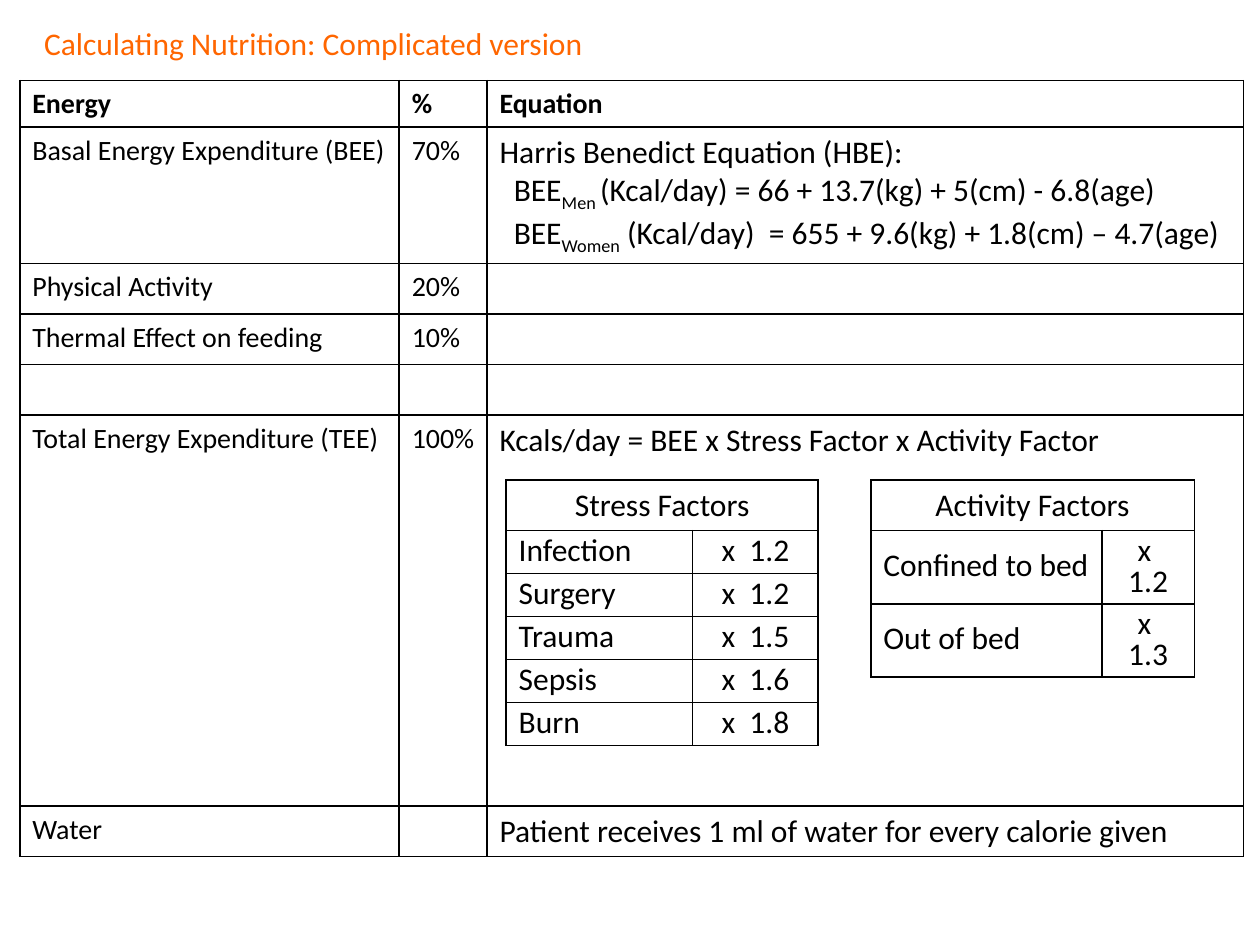
"""Build a slide with the detailed nutrition calculation tables."""
from dataclasses import dataclass

from lxml.etree import SubElement
from pptx import Presentation
from pptx.dml.color import RGBColor
from pptx.enum.text import MSO_ANCHOR, MSO_AUTO_SIZE, PP_ALIGN
from pptx.oxml.ns import qn
from pptx.util import Pt

BLACK = RGBColor(0, 0, 0)
ORANGE = RGBColor(0xFF, 0x66, 0x00)
FONT = "Calibri"
TABLE_TOP = 274.3


@dataclass
class Formula:
    subscript: str
    rest: str


@dataclass
class Grid:
    left: float
    top: float
    widths: list[float]
    heights: list[float]


@dataclass
class FactorTable:
    title: str
    grid: Grid
    factors: list[tuple[str, str]]


ENERGY_GRID = Grid(11.3, 46, [216.8, 50.2, 432.2],
                   [26.6, 78, 28.9, 28.9, 28.9, 223.4, 28.9])
ENERGY_ROWS = [
    ("Energy", "%", ["Equation"]),
    ("Basal Energy Expenditure (BEE)", "70%", [
        "Harris Benedict Equation (HBE):",
        Formula("Men ", "(Kcal/day) = 66 + 13.7(kg) + 5(cm) - 6.8(age)"),
        Formula("Women", " (Kcal/day)  = 655 + 9.6(kg) + 1.8(cm) – 4.7(age)"),
    ]),
    ("Physical Activity", "20%", [""]),
    ("Thermal Effect on feeding", "10%", [""]),
    ("", "", [""]),
    ("Total Energy Expenditure (TEE)", "100%",
     ["Kcals/day = BEE x Stress Factor x Activity Factor"]),
    ("Water", "", ["Patient receives 1 ml of water for every calorie given"]),
]
FACTOR_TABLES = [
    FactorTable("Activity Factors", Grid(497.6, TABLE_TOP, [132, 52.9], [28.9, 28, 28]),
                [("Confined to bed", "x  1.2"), ("Out of bed", "x  1.3")]),
    FactorTable("Stress Factors", Grid(289.2, TABLE_TOP, [106.6, 71.8], [28.9] + [24.6] * 5),
                [("Infection", "x  1.2"), ("Surgery", "x  1.2"), ("Trauma", "x  1.5"),
                 ("Sepsis", "x  1.6"), ("Burn", "x  1.8")]),
]


def set_font(font, size: float, color: RGBColor = BLACK, bold: bool = False) -> None:
    """Apply the slide's typeface."""
    font.name, font.size, font.bold = FONT, Pt(size), bold
    font.color.rgb = color


def style_cell(cell) -> None:
    """Give a cell thin black borders and no fill."""
    tc_pr = cell._tc.get_or_add_tcPr()
    for side in ("lnL", "lnR", "lnT", "lnB"):
        ln = SubElement(tc_pr, qn(f"a:{side}"), w=str(Pt(1)))
        fill = SubElement(ln, qn("a:solidFill"))
        SubElement(fill, qn("a:srgbClr"), val=str(BLACK))
    cell.fill.background()


def add_grid(s, grid: Grid):
    """Add an empty bordered table."""
    frame = s.shapes.add_table(len(grid.heights), len(grid.widths), Pt(grid.left),
                               Pt(grid.top), Pt(sum(grid.widths)), Pt(sum(grid.heights)))
    table = frame.table
    table.first_row = table.horz_banding = False
    for column, width in zip(table.columns, grid.widths):
        column.width = Pt(width)
    for row, height in zip(table.rows, grid.heights):
        row.height = Pt(height)
    for cell in table.iter_cells():
        style_cell(cell)
    return table


def write_line(p, line: str | Formula, size: float, bold: bool = False) -> None:
    """Write plain text or an indented BEE formula."""
    if isinstance(line, Formula):
        p._p.get_or_add_pPr().set("marL", str(Pt(8.1)))
        p.add_run().text = "BEE"
        r = p.add_run()
        r.text = line.subscript
        r._r.get_or_add_rPr().set("baseline", "-25000")
        p.add_run().text = line.rest
    elif line:
        p.add_run().text = line
    set_font(p.font, size, bold=bold)


def add_energy_table(s) -> None:
    """Add the main table of energy components."""
    table = add_grid(s, ENERGY_GRID)
    for i, (name, share, equation) in enumerate(ENERGY_ROWS):
        header = i == 0
        for j, lines in enumerate(([name], [share], equation)):
            tf = table.cell(i, j).text_frame
            size = 18 if j == 2 and not header else 16
            for k, line in enumerate(lines):
                p = tf.add_paragraph() if k else tf.paragraphs[0]
                write_line(p, line, size, header)


def add_factor_table(s, factor_table: FactorTable) -> None:
    """Add a table of multipliers under a merged heading."""
    table = add_grid(s, factor_table.grid)
    table.cell(0, 0).merge(table.cell(0, 1))
    for i, row in enumerate([(factor_table.title,), *factor_table.factors]):
        for j, text in enumerate(row):
            cell = table.cell(i, j)
            cell.vertical_anchor = MSO_ANCHOR.MIDDLE
            p = cell.text_frame.paragraphs[0]
            p.alignment = PP_ALIGN.CENTER if i == 0 or j == 1 else PP_ALIGN.LEFT
            if i:
                p.line_spacing = 0.8
            write_line(p, text, 18)


def add_title(s) -> None:
    """Place and format the slide title."""
    sp = s.shapes.title
    sp.left, sp.top, sp.width, sp.height = Pt(18), Pt(10.1), Pt(327), Pt(29)
    tf = sp.text_frame
    tf.text = "Calculating Nutrition: Complicated version"
    tf.word_wrap = False
    tf.auto_size = MSO_AUTO_SIZE.SHAPE_TO_FIT_TEXT
    tf.vertical_anchor = MSO_ANCHOR.TOP
    p = tf.paragraphs[0]
    p.alignment = PP_ALIGN.LEFT
    set_font(p.font, 18, ORANGE)


def main() -> None:
    """Build and save the presentation."""
    prs = Presentation()
    prs.slide_width, prs.slide_height = Pt(720), Pt(540)
    s = prs.slides.add_slide(prs.slide_layouts[5])
    add_title(s)
    add_energy_table(s)
    for factor_table in FACTOR_TABLES:
        add_factor_table(s, factor_table)
    prs.save("out.pptx")


if __name__ == "__main__":
    main()
